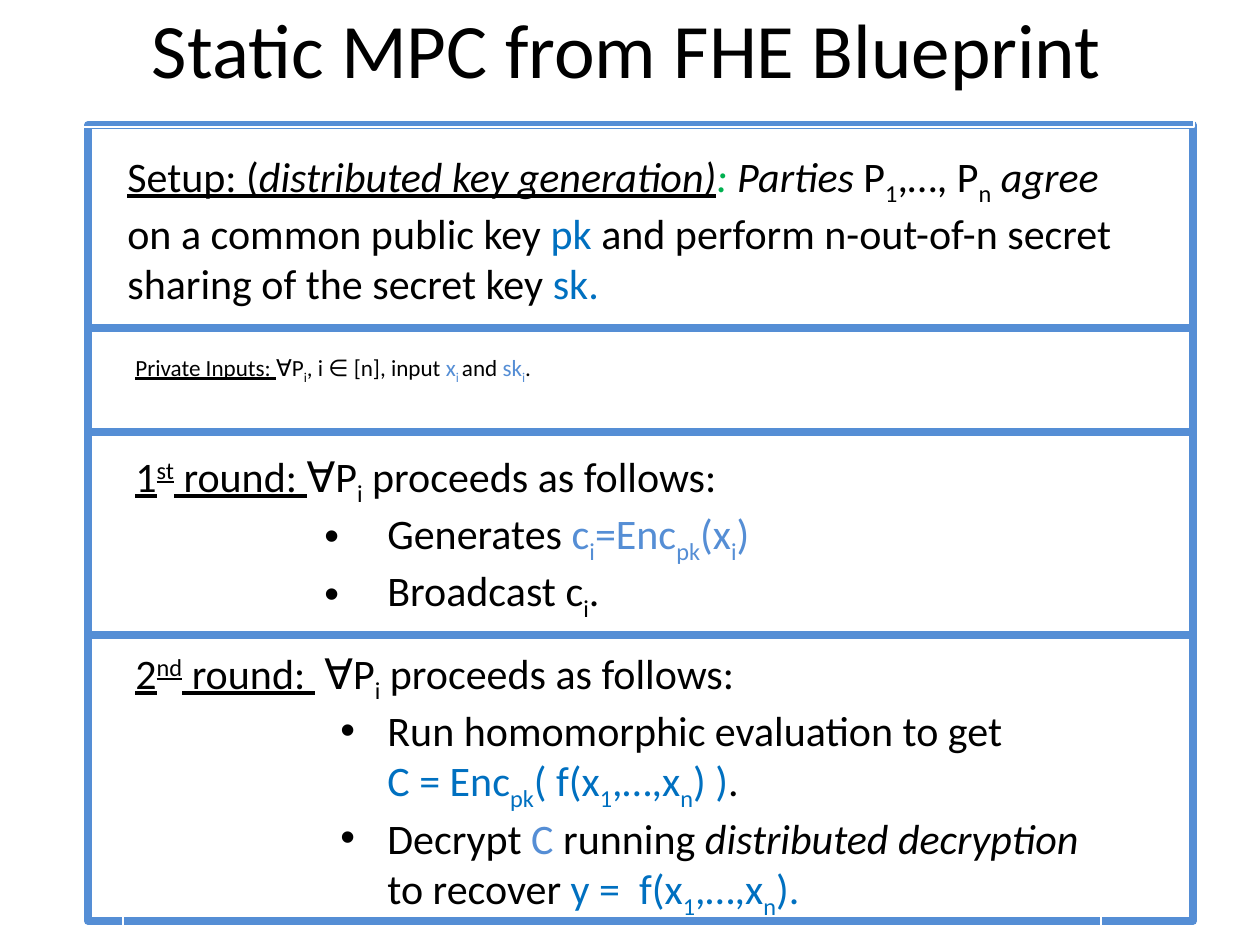
from dataclasses import dataclass
from typing import NamedTuple

import pptx
import pptx.dml.color
import pptx.enum.shapes
import pptx.enum.text
import pptx.util
from lxml import etree

SCALE = 914400 / 126  # EMU in one px
FONT = "Calibri"
NS = "http://schemas.openxmlformats.org/drawingml/2006/main"
HEX = {"ink": "000000", "paper": "FFFFFF", "frame": "558ED5",
       "blue": "0070C0", "green": "00B050"}
SUB, SUP = -25000, 30000


class Run(NamedTuple):
    text: str
    hue: str = "ink"
    base: int = 0
    under: bool = False
    slant: bool = False


class Para(NamedTuple):
    runs: list[Run]
    left: int = 0
    hang: int = 0
    bullet: bool = False


@dataclass
class Box:
    left: int
    top: int
    width: int
    height: int
    paras: list[Para]
    size: float = 24
    edge: bool = True
    title: bool = False


def px(count: int) -> pptx.util.Emu:
    return pptx.util.Emu(round(count * SCALE))


def color(name: str) -> pptx.dml.color.RGBColor:
    return pptx.dml.color.RGBColor.from_string(HEX[name])


def sub(text: str, hue: str = "ink") -> Run:
    return Run(text, hue, SUB)


def func(start: str, end: str) -> list[Run]:
    """The blue term f(x1,…,xn) with what stands around it."""
    return [Run(start + "f(x", "blue"), sub("1", "blue"), Run(",…,x", "blue"),
            sub("n", "blue"), Run(end, "blue")]


def head(num: str, mark: str, gap: str) -> Para:
    """The opening line of a round."""
    return Para([Run(num, under=True), Run(mark, base=SUP, under=True),
                 Run(" round: ", under=True), Run(gap + "∀P"), sub("i"),
                 Run(" proceeds as follows:")])


def draw_panel(slide, top: int, height: int) -> None:
    shape = slide.shapes.add_shape(pptx.enum.shapes.MSO_SHAPE.RECTANGLE,
                                   px(88), px(top), px(1105), px(height))
    shape.shadow.inherit = False
    shape.fill.solid()
    shape.fill.fore_color.rgb = color("paper")
    shape.line.color.rgb = color("frame")
    shape.line.width = pptx.util.Pt(4.5)


def add_run(line, run: Run) -> None:
    part = line.add_run()
    part.text = run.text
    if run.hue != "ink":
        part.font.color.rgb = color(run.hue)
    if run.under:
        part.font.underline = True
    if run.slant:
        part.font.italic = True
    if run.base:
        part._r.get_or_add_rPr().set("baseline", str(run.base))


def draw_box(slide, box: Box) -> None:
    shape = slide.shapes.add_textbox(px(box.left), px(box.top),
                                     px(box.width), px(box.height))
    if box.edge:
        shape.line.color.rgb = color("paper")
        shape.line.width = pptx.util.Pt(0.75)
    frame = shape.text_frame
    frame.word_wrap = True
    if box.title:
        frame.vertical_anchor = pptx.enum.text.MSO_ANCHOR.MIDDLE
    for i, para in enumerate(box.paras):
        line = frame.add_paragraph() if i else frame.paragraphs[0]
        props = line._p.get_or_add_pPr()
        if para.left:
            props.set("marL", str(px(para.left)))
            props.set("indent", str(px(-para.hang)))
        if para.bullet:
            tint = etree.SubElement(props, f"{{{NS}}}buClr")
            etree.SubElement(tint, f"{{{NS}}}srgbClr", val=HEX["ink"])
            etree.SubElement(props, f"{{{NS}}}buFont", typeface="Arial")
            etree.SubElement(props, f"{{{NS}}}buChar", char="•")
        if box.title:
            line.alignment = pptx.enum.text.PP_ALIGN.CENTER
        line.font.name = FONT
        line.font.size = pptx.util.Pt(box.size)
        line.font.color.rgb = color("ink")
        for run in para.runs:
            add_run(line, run)


# Wording
TITLE = [Para([Run("Static MPC from FHE Blueprint")])]
SETUP = [Para([
    Run("Setup: (", under=True),
    Run("distributed key generation)", under=True, slant=True),
    Run(": ", "green", slant=True), Run("Parties ", slant=True),
    Run("P"), sub("1"), Run(",…, P"), sub("n"), Run(" agree ", slant=True),
    Run("on a common public key "), Run("pk ", "blue"),
    Run("and perform n-out-of-n secret sharing of the secret key "),
    Run("sk.", "blue")])]
INPUT = [Para([
    Run("Private Inputs: ", under=True), Run("∀P"), sub("i"),
    Run(", i ∈ [n], input"), Run(" x", "frame"), sub("i ", "frame"),
    Run("and "), Run("sk", "frame"), sub("i", "frame"), Run(".")])]
FIRST = [
    head("1", "st", ""),
    Para([Run("Generates"), Run(" c", "frame"), sub("i", "frame"),
          Run("=Enc", "frame"), sub("pk", "frame"), Run("(x", "frame"),
          sub("i", "frame"), Run(")", "frame")], 252, 63, True),
    Para([Run("Broadcast c"), sub("i"), Run(".")], 252, 63, True)]
SECOND = [
    head("2", "nd", " "),
    Para([Run("Run homomorphic evaluation to get")], 252, 47, True),
    Para([Run("C = Enc", "blue"), sub("pk", "blue"), *func("( ", ") )"),
          Run(".")], 252),
    Para([Run("Decrypt "), Run("C ", "frame"), Run("running "),
          Run("distributed decryption", slant=True)], 252, 47, True),
    Para([Run("to recover "), *func("y =  ", ").")], 252)]

BOXES = [
    Box(60, -31, 1134, 158, TITLE, size=44, title=True),
    Box(115, 144, 1018, 171, SETUP, edge=False),
    Box(123, 347, 1045, 78, INPUT, size=13.2),
    Box(123, 444, 1009, 185, FIRST),
    Box(123, 641, 978, 286, SECOND)]


def main() -> None:
    deck = pptx.Presentation()
    deck.slide_width, deck.slide_height = px(1260), px(945)
    slide = deck.slides.add_slide(deck.slide_layouts[6])

    # Stacked panels
    top = 125
    for height in (203, 104, 203, 286):
        draw_panel(slide, top, height)
        top += height

    # Title and panel text
    for box in BOXES:
        draw_box(slide, box)

    deck.save("out.pptx")


if __name__ == "__main__":
    main()
